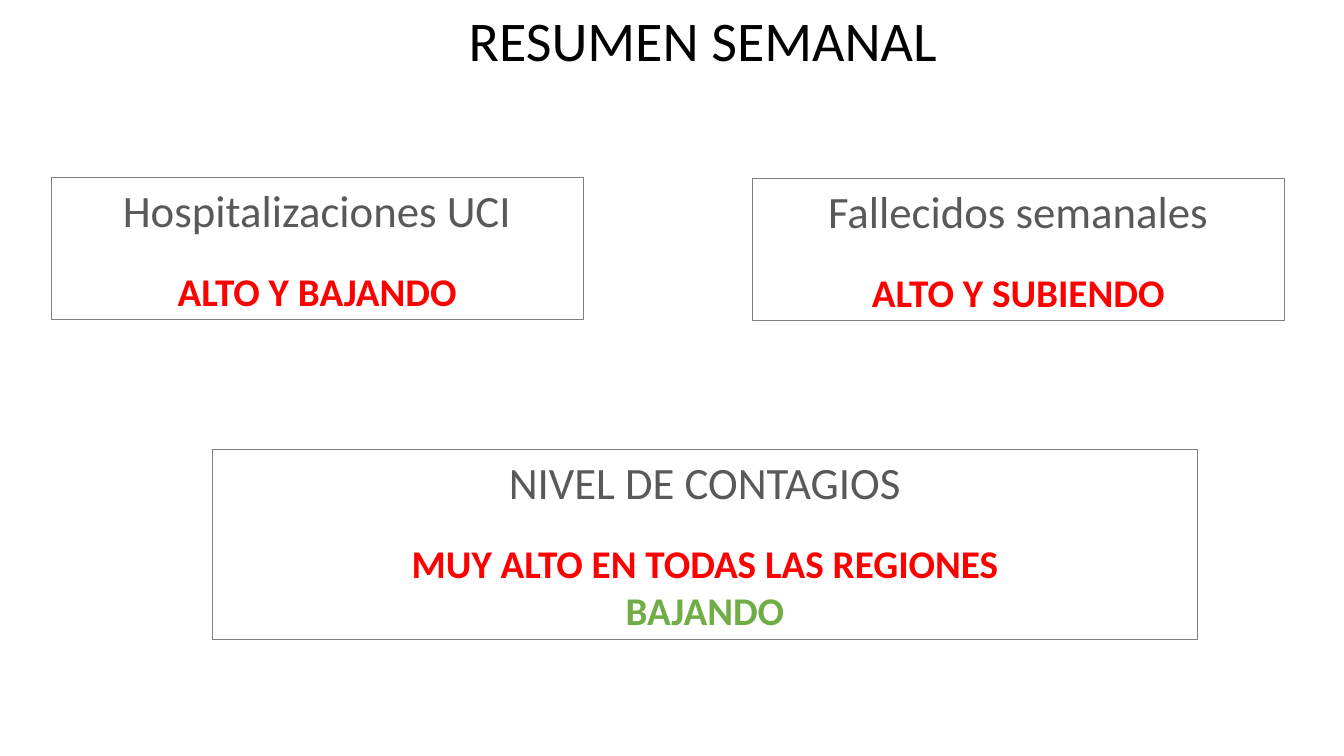
import pptx
import pptx.dml.color
import pptx.enum.shapes
import pptx.enum.text
import pptx.util

Pt = pptx.util.Pt
RGBColor = pptx.dml.color.RGBColor
PP_ALIGN = pptx.enum.text.PP_ALIGN
MSO_ANCHOR = pptx.enum.text.MSO_ANCHOR
MSO_AUTO_SIZE = pptx.enum.text.MSO_AUTO_SIZE

BLACK = RGBColor(0x00, 0x00, 0x00)
GREY = RGBColor(0x59, 0x59, 0x59)
BORDER = RGBColor(0x80, 0x80, 0x80)
RED = RGBColor(0xFF, 0x00, 0x00)
GREEN = RGBColor(0x70, 0xAD, 0x47)


class SummarySlide:
    font = "Calibri"
    title_size = 40
    heading_size = 32
    status_size = 28
    status_gap = 22

    def __init__(self, prs):
        self.s = prs.slides.add_slide(prs.slide_layouts[5])

    def set_text(self, p, text, size, color, bold=False, align=PP_ALIGN.CENTER):
        p.text = text
        p.alignment = align
        p.font.name = self.font
        p.font.size = Pt(size)
        p.font.bold = bold
        p.font.color.rgb = color

    def title(self, text, left, top, width, height):
        sp = self.s.shapes.title
        sp.left, sp.top, sp.width, sp.height = map(Pt, (left, top, width, height))
        tf = sp.text_frame
        tf.word_wrap = False
        tf.auto_size = MSO_AUTO_SIZE.SHAPE_TO_FIT_TEXT
        tf.vertical_anchor = MSO_ANCHOR.TOP
        self.set_text(tf.paragraphs[0], text, self.title_size, BLACK, align=PP_ALIGN.LEFT)

    def box(self, heading, statuses, left, top, width, height):
        sp = self.s.shapes.add_shape(
            pptx.enum.shapes.MSO_SHAPE.RECTANGLE, *map(Pt, (left, top, width, height)))
        sp.shadow.inherit = False
        sp.fill.background()
        sp.line.color.rgb = BORDER
        sp.line.width = Pt(0.75)
        tf = sp.text_frame
        tf.word_wrap = True
        tf.auto_size = MSO_AUTO_SIZE.SHAPE_TO_FIT_TEXT
        tf.vertical_anchor = MSO_ANCHOR.TOP
        self.set_text(tf.paragraphs[0], heading, self.heading_size, GREY)
        for i, (text, color) in enumerate(statuses):
            p = tf.add_paragraph()
            self.set_text(p, text, self.status_size, color, bold=True)
            p.space_before = Pt(0 if i else self.status_gap)


def main():
    prs = pptx.Presentation()
    prs.slide_width, prs.slide_height = Pt(960), Pt(540)
    summary = SummarySlide(prs)
    summary.title("RESUMEN SEMANAL", 327.6, 0, 352, 55.4)
    summary.box("Hospitalizaciones UCI", [("ALTO Y BAJANDO", RED)],
                36.5, 126.7, 380, 101.7)
    summary.box("Fallecidos semanales", [("ALTO Y SUBIENDO", RED)],
                537.3, 127.4, 380, 101.7)
    summary.box("NIVEL DE CONTAGIOS",
                [("MUY ALTO EN TODAS LAS REGIONES", RED), ("BAJANDO", GREEN)],
                151.8, 321.3, 703.5, 135.5)
    prs.save("out.pptx")


if __name__ == "__main__":
    main()
